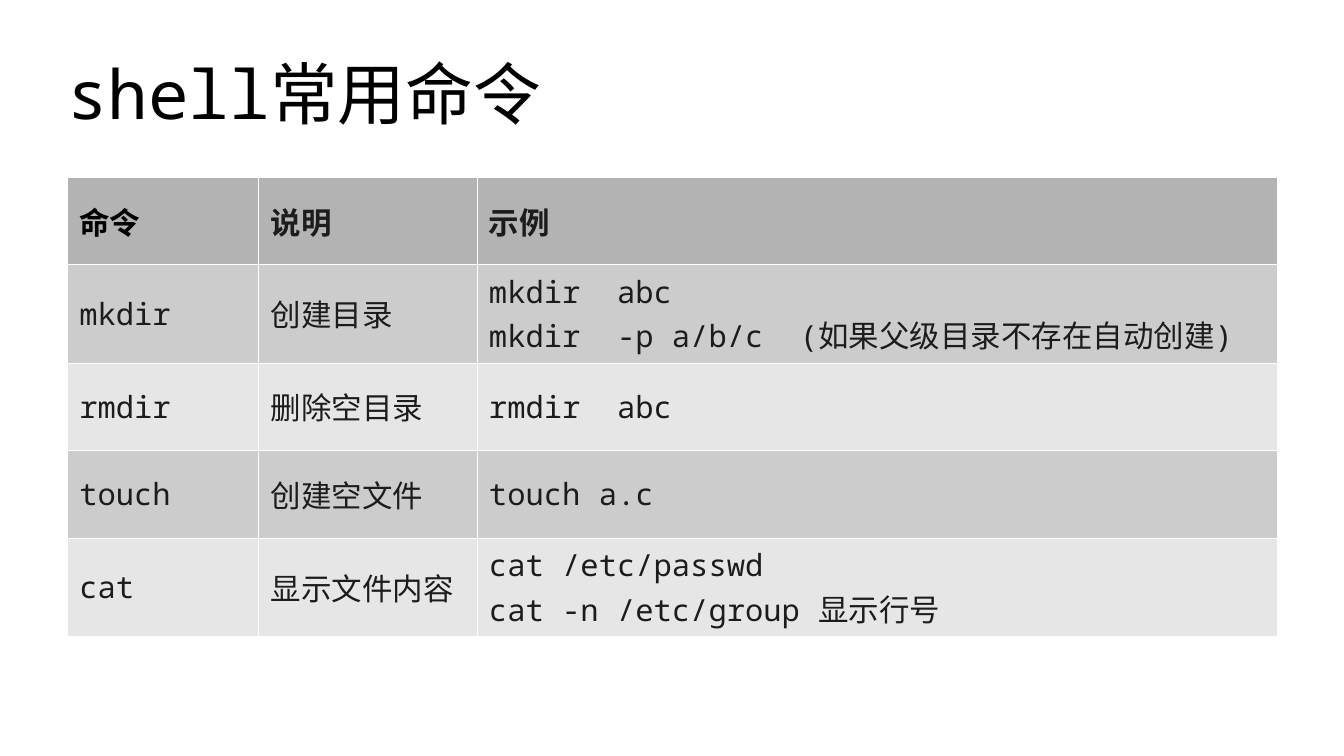
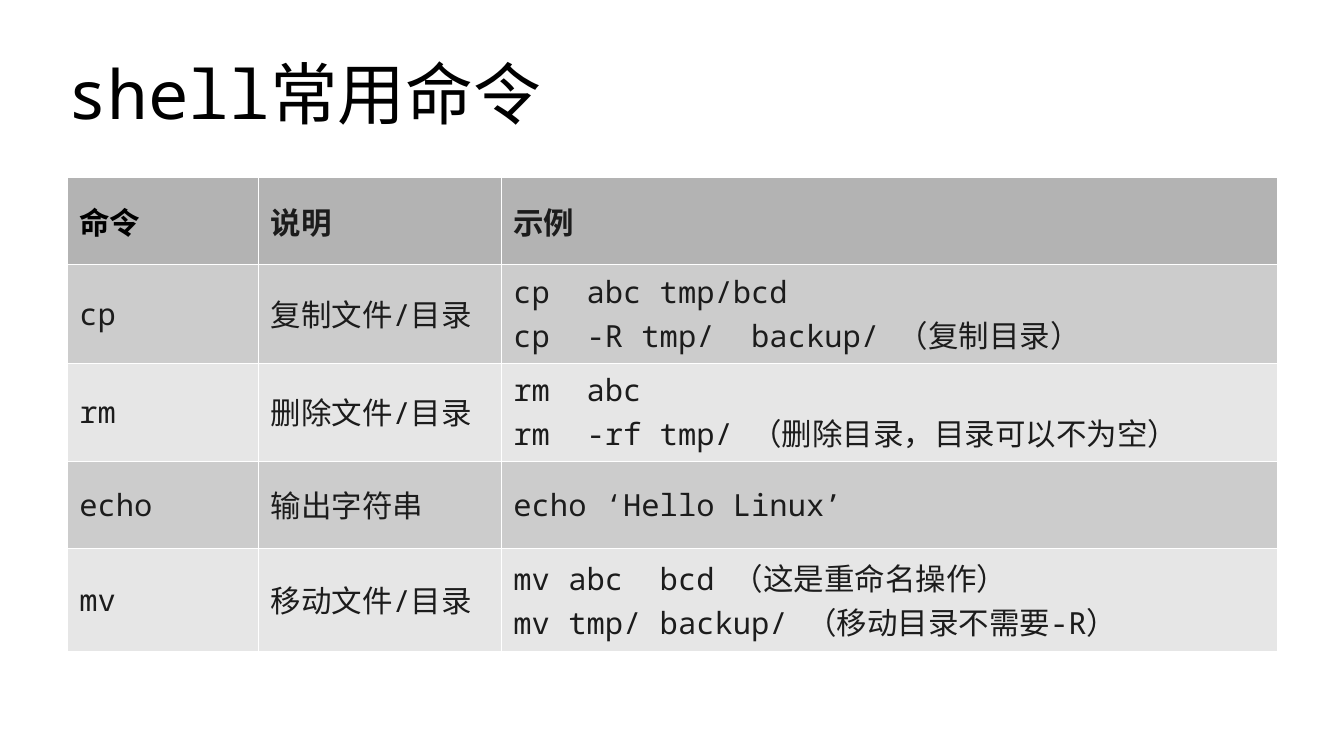
import dataclasses

import lxml.etree
import pptx
import pptx.dml.color
import pptx.enum.lang
import pptx.enum.text
import pptx.oxml.ns
import pptx.util


@dataclasses.dataclass(frozen=True)
class Theme:
    font: str = "Noto Sans Mono"
    title_size: float = 40
    table_size: float = 18
    border_width: float = 0.06
    black: str = "000000"
    ink: str = "1C1C1C"
    border: str = "FFFFFF"
    header_fill: str = "B3B3B3"
    band_fills: tuple = ("CCCCCC", "E6E6E6")


def grid(units):
    """Turn grid units, ten to the inch, into a length."""
    return pptx.util.Inches(units / 10)


SLIDE_COLUMNS, SLIDE_ROWS = 110.2, 62
LEFT, CONTENT_WIDTH = 5.5, 99.2
TITLE_TOP, TITLE_HEIGHT, TABLE_TOP = 2.5, 10.1, 14.5
COMMAND_WIDTH = 15.7
TITLE = "shell常用命令"
HEADER = ("命令", "说明", "示例")


class CommandDeck:
    def __init__(self, theme):
        self.theme = theme
        self.deck = pptx.Presentation()
        self.deck.slide_width = grid(SLIDE_COLUMNS)
        self.deck.slide_height = grid(SLIDE_ROWS)
        self.slide = None

    def add_slide(self, title):
        self.slide = self.deck.slides.add_slide(self.deck.slide_layouts[5])
        box = self.slide.shapes.title
        box.left, box.top = grid(LEFT), grid(TITLE_TOP)
        box.width, box.height = grid(CONTENT_WIDTH), grid(TITLE_HEIGHT)
        frame = box.text_frame
        frame.margin_left = frame.margin_right = 0
        frame.margin_top = frame.margin_bottom = 0
        frame.vertical_anchor = pptx.enum.text.MSO_ANCHOR.MIDDLE
        self.set_text(frame, title, self.theme.title_size, self.theme.black)

    def set_text(self, frame, text, size, color, bold=False):
        frame.text = text
        for para in frame.paragraphs:
            para.alignment = pptx.enum.text.PP_ALIGN.LEFT
            font = para.font
            font.name = self.theme.font
            font.size = pptx.util.Pt(size)
            font.bold = bold
            font.color.rgb = pptx.dml.color.RGBColor.from_string(color)
            font.language_id = pptx.enum.lang.MSO_LANGUAGE_ID.SIMPLIFIED_CHINESE

    def add_table(self, description_width, row_heights, commands):
        widths = (COMMAND_WIDTH, description_width,
                  CONTENT_WIDTH - COMMAND_WIDTH - description_width)
        table = self.slide.shapes.add_table(
            len(row_heights), len(widths), grid(LEFT), grid(TABLE_TOP),
            grid(CONTENT_WIDTH), grid(sum(row_heights))).table
        table.horz_banding = False
        for column, width in zip(table.columns, widths):
            column.width = grid(width)
        for row, height in zip(table.rows, row_heights):
            row.height = grid(height)
        for row_index, texts in enumerate((HEADER, *commands)):
            for column_index, text in enumerate(texts):
                self.fill_cell(table.cell(row_index, column_index), text,
                               row_index, column_index)

    def fill_cell(self, cell, text, row_index, column_index):
        theme = self.theme
        is_header = row_index == 0
        fill = theme.header_fill if is_header else theme.band_fills[(row_index - 1) % 2]
        color = theme.black if is_header and column_index == 0 else theme.ink
        cell.vertical_anchor = pptx.enum.text.MSO_ANCHOR.MIDDLE
        self.set_text(cell.text_frame, text, theme.table_size, color, is_header)
        self.add_borders(cell)
        cell.fill.solid()
        cell.fill.fore_color.rgb = pptx.dml.color.RGBColor.from_string(fill)

    def add_borders(self, cell):
        qn = pptx.oxml.ns.qn
        properties = cell._tc.get_or_add_tcPr()
        for side in ("a:lnL", "a:lnR", "a:lnT", "a:lnB"):
            line = lxml.etree.SubElement(properties, qn(side))
            line.set("w", str(pptx.util.Pt(self.theme.border_width)))
            solid = lxml.etree.SubElement(line, qn("a:solidFill"))
            lxml.etree.SubElement(solid, qn("a:srgbClr")).set("val", self.theme.border)

    def save(self):
        self.deck.save("out.pptx")


def main():
    commands = CommandDeck(Theme())

    commands.add_slide(TITLE)
    commands.add_table(17.9, (7.2, 8, 7.2, 7.2, 7.6), (
        ("mkdir", "创建目录", "mkdir  abc\nmkdir  -p a/b/c  (如果父级目录不存在自动创建)"),
        ("rmdir", "删除空目录", "rmdir  abc"),
        ("touch", "创建空文件", "touch a.c"),
        ("cat", "显示文件内容", "cat /etc/passwd\ncat -n /etc/group 显示行号"),
    ))

    commands.add_slide(TITLE)
    commands.add_table(19.9, (7.2, 8, 7.6, 7.2, 8.4), (
        ("cp", "复制文件/目录", "cp  abc tmp/bcd\ncp  -R tmp/  backup/ （复制目录）"),
        ("rm", "删除文件/目录", "rm  abc\nrm  -rf tmp/ （删除目录，目录可以不为空）"),
        ("echo", "输出字符串", "echo ‘Hello Linux’"),
        ("mv", "移动文件/目录", "mv abc  bcd （这是重命名操作）\nmv tmp/ backup/ （移动目录不需要-R）"),
    ))

    commands.save()


if __name__ == "__main__":
    main()
